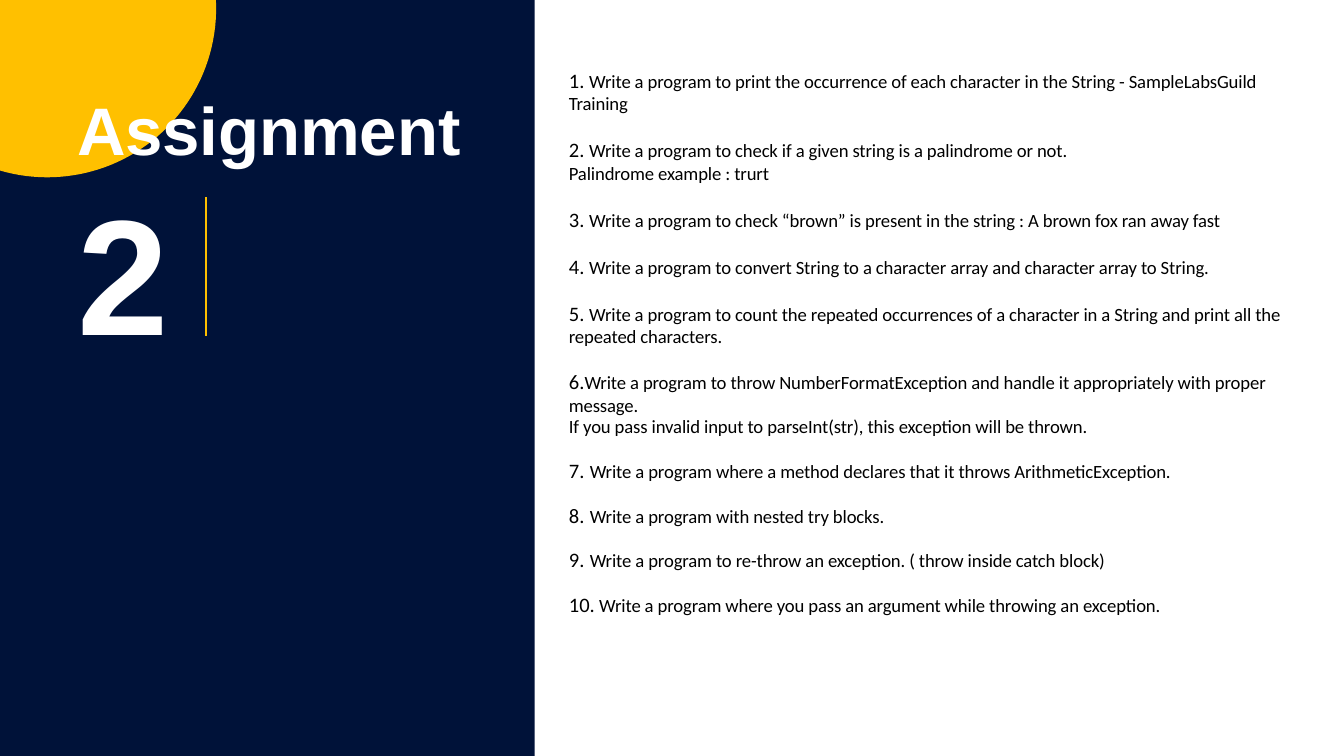
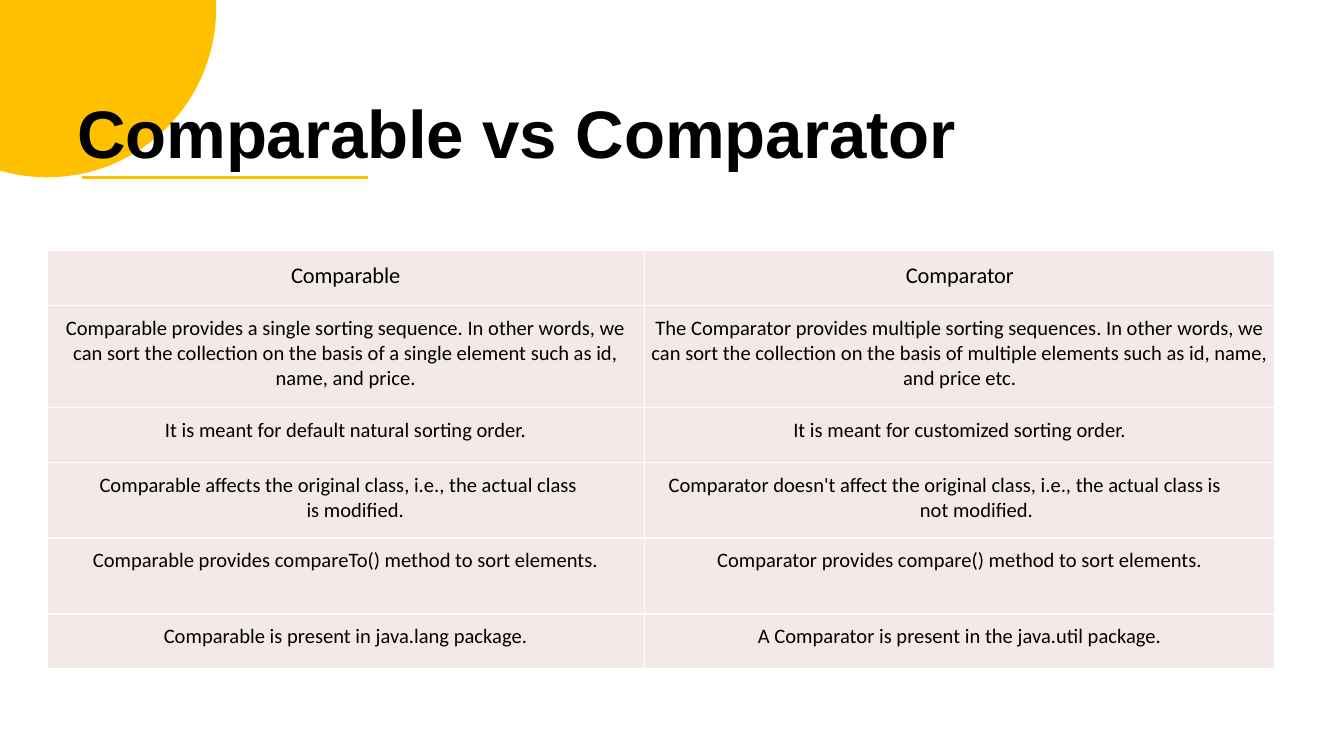
import math
from dataclasses import dataclass

from lxml import etree
from pptx import Presentation
from pptx import util as u
from pptx.dml.color import RGBColor
from pptx.enum import shapes, text
from pptx.oxml import parse_xml
from pptx.oxml.ns import nsdecls, qn

Pt = u.Pt


@dataclass(frozen=True)
class Theme:
    navy: str = "001239"
    gold: str = "FFC000"
    white: str = "FFFFFF"
    black: str = "000000"
    cell: str = "F4E9E9"
    head_font: str = "Arial"
    body_font: str = "Calibri"
    title: int = 36
    number: int = 88
    table_head: int = 12
    table_body: int = 11
    marker: int = 11
    question: int = 10
    tight: int = -5  # letter spacing, hundredths of a point


T = Theme()
HEADING = {"name": T.head_font, "size": Pt(T.title), "bold": True}
BODY = {"name": T.body_font, "size": Pt(T.question)}

# (text, lines it takes)
QUESTIONS = [
    ("Write a program to print the occurrence of each character in the String"
     " - SampleLabsGuild Training", 2),
    ("Write a program to check if a given string is a palindrome or not."
     " Palindrome example : trurt", 2),
    ("Write a program to check “brown” is present in the string :"
     " A brown fox ran away fast", 1),
    ("Write a program to convert String to a character array and character"
     " array to String.", 1),
    ("Write a program to count the repeated occurrences of a character in a"
     " String and print all the repeated characters.", 2),
]
QUESTION_WIDTHS = [374, 274, 362, 358, 391]
EXCEPTION_QUESTION = ("Write a program to throw NumberFormatException and handle"
                      " it appropriately with proper message.")
EXCEPTION_NOTE = ("If you pass invalid input to parseInt(str), this exception"
                  " will be thrown.")
LAST_QUESTIONS = [
    "Write a program where a method declares that it throws ArithmeticException.",
    "Write a program with nested try blocks.",
    "Write a program to re-throw an exception. ( throw inside catch block)",
    "Write a program where you pass an argument while throwing an exception.",
]
COMPARISON = [
    ("Comparable", "Comparator"),
    ("Comparable provides a single sorting sequence. In other words, we can sort"
     " the collection on the basis of a single element such as id, name, and price.",
     "The Comparator provides multiple sorting sequences. In other words, we can"
     " sort the collection on the basis of multiple elements such as id, name,"
     " and price etc."),
    ("It is meant for default natural sorting order.",
     "It is meant for customized sorting order."),
    ("Comparable affects the original class, i.e., the actual class is modified.",
     "Comparator doesn't affect the original class, i.e., the actual class is"
     " not modified."),
    ("Comparable provides compareTo() method to sort elements.",
     "Comparator provides compare() method to sort elements."),
    ("Comparable is present in java.lang package.",
     "A Comparator is present in the java.util package."),
]
HANGING_ROW = 3
HANGING = [(139, -110.9, 32.4), (147.6, -134.6, 21.6)]  # margin, indent, right inset
SIDE_INSETS = [7.2, 3.6]


def apply(obj, values):
    for name, value in values.items():
        setattr(obj, name, value)


def rgb(color):
    return RGBColor.from_string(color)


# Text
def add_run(p, words, fmt, color=T.black, spc=T.tight):
    r = p.add_run()
    r.text = words
    apply(r.font, fmt)
    r.font.color.rgb = rgb(color)
    if spc:
        r._r.get_or_add_rPr().set("spc", str(spc))


def add_text_box(s, x, y, w, h, top=0, left=1):
    tf = s.shapes.add_textbox(Pt(x), Pt(y), Pt(w), Pt(h)).text_frame
    apply(tf, {"word_wrap": True, "margin_left": Pt(left), "margin_top": Pt(top),
               "margin_right": 0, "margin_bottom": 0,
               "vertical_anchor": text.MSO_ANCHOR.TOP})
    return tf


def indent(p, margin, first):
    pPr = p._p.get_or_add_pPr()
    pPr.set("marL", str(Pt(margin)))
    pPr.set("indent", str(Pt(first)))
    return pPr


def number(p, start, margin, first, tab):
    pPr = indent(p, margin, first)
    etree.SubElement(pPr, qn("a:buSzPct"), val="110000")
    etree.SubElement(pPr, qn("a:buFont"), typeface=T.body_font)
    etree.SubElement(pPr, qn("a:buAutoNum"), type="arabicPeriod", startAt=str(start))
    tabs = etree.SubElement(pPr, qn("a:tabLst"))
    etree.SubElement(tabs, qn("a:tab"), pos=str(Pt(tab)), algn="l")


def add_title(s, words, y, w, color):
    tf = add_text_box(s, 40.3, y, w, 45.4, top=3.5)
    add_run(tf.paragraphs[0], words, HEADING, color)


# Shapes
def fill(sp, color):
    sp.shadow.inherit = False
    sp.fill.solid()
    sp.fill.fore_color.rgb = rgb(color)
    sp.line.fill.background()


def add_panel(s, w, h):
    fill(s.shapes.add_shape(shapes.MSO_SHAPE.RECTANGLE, 0, 0, Pt(w), Pt(h)), T.navy)


def add_corner_disc(s, cx=25.3, cy=4.5, r=90.5, steps=48):
    """Part of a disc that lies inside the top left corner."""
    start, end = math.asin(-cy / r), math.acos(-cx / r)
    angles = [start + (end - start) * i / steps for i in range(steps + 1)]
    arc = [(Pt(max(0, cx + r * math.cos(a))), Pt(max(0, cy + r * math.sin(a))))
           for a in angles]
    fb = s.shapes.build_freeform(0, 0, scale=1.0)
    fb.add_line_segments(arc, close=True)
    fill(fb.convert_to_shape(), T.gold)


def add_rule(s, x1, y1, x2, y2, width):
    sp = s.shapes.add_connector(shapes.MSO_CONNECTOR.STRAIGHT,
                                Pt(x1), Pt(y1), Pt(x2), Pt(y2))
    sp.line.color.rgb = rgb(T.gold)
    sp.line.width = Pt(width)
    etree.SubElement(sp._element.spPr, qn("a:effectLst"))


# Table
def set_borders(cell, color, width):
    tcPr = cell._tc.get_or_add_tcPr()
    for i, side in enumerate("LRTB"):
        tcPr.insert(i, parse_xml(
            f'<a:ln{side} {nsdecls("a")} w="{Pt(width)}"><a:solidFill>'
            f'<a:srgbClr val="{color}"/></a:solidFill></a:ln{side}>'))


def fill_cell(cell, words, row, col):
    head = row == 0
    side = SIDE_INSETS[col] if row == 1 else 0
    p = cell.text_frame.paragraphs[0]
    right = side
    if row == HANGING_ROW:
        margin, first, right = HANGING[col]
        indent(p, margin, first)
        p.alignment = text.PP_ALIGN.LEFT
    else:
        p.alignment = text.PP_ALIGN.CENTER
    apply(cell, {"margin_left": Pt(side), "margin_right": Pt(right),
                 "margin_top": Pt(6.5 if head else 5.4), "margin_bottom": 0,
                 "vertical_anchor": text.MSO_ANCHOR.TOP})
    size = T.table_head if head else T.table_body
    add_run(p, words, {**BODY, "size": Pt(size)}, spc=T.tight if head else 0)
    cell.fill.solid()
    cell.fill.fore_color.rgb = rgb(T.cell)
    set_borders(cell, T.white, 1)


def add_comparison(s, x, y, widths, heights):
    tbl = s.shapes.add_table(len(heights), len(widths), Pt(x), Pt(y),
                             Pt(sum(widths)), Pt(sum(heights))).table
    apply(tbl, {"first_row": False, "horz_banding": False})
    for column, w in zip(tbl.columns, widths):
        column.width = Pt(w)
    for row, h in zip(tbl.rows, heights):
        row.height = Pt(h)
    for i, pair in enumerate(COMPARISON):
        for j, words in enumerate(pair):
            fill_cell(tbl.cell(i, j), words, i, j)


# Questions
def add_questions(s, x, y):
    """Typed questions one below the other; returns the next free top."""
    for n, ((words, lines), w) in enumerate(zip(QUESTIONS, QUESTION_WIDTHS), 1):
        p = add_text_box(s, x, y, w, 2 + 12.2 * lines, top=2).paragraphs[0]
        add_run(p, f"{n}. ", {**BODY, "size": Pt(T.marker)}, spc=0)
        add_run(p, words, BODY)
        y += 12.2 * lines + 12.9
    return y


def add_numbered_questions(s, x, y, first):
    tf = add_text_box(s, x, y, 386, 139, top=2, left=0)
    p = tf.paragraphs[0]
    p.line_spacing = Pt(12.3)
    number(p, first, 1, 0, 12.2)
    add_run(p, EXCEPTION_QUESTION, BODY)
    p = tf.add_paragraph()
    p.line_spacing = Pt(11.5)
    indent(p, 1, 0)
    add_run(p, EXCEPTION_NOTE, BODY)
    for n, words in enumerate(LAST_QUESTIONS, first + 1):
        p = tf.add_paragraph()
        p.space_before = Pt(11.9)
        margin = 12.2 if n < 10 else 17.2
        number(p, first + 1, margin, 1 - margin, margin)
        add_run(p, words, BODY)


def build_assignment(s):
    add_panel(s, 286.5, 405)
    add_corner_disc(s)
    add_title(s, "Assignment", 43.9, 210, T.white)
    tf = add_text_box(s, 40.3, 82.8, 52, 107, top=9)
    add_run(tf.paragraphs[0], "2", {**HEADING, "size": Pt(T.number)}, T.white)
    add_rule(s, 110.2, 105.8, 110.2, 180, 1)
    y = add_questions(s, 303.8, 34.2)
    add_numbered_questions(s, 303.8, y, len(QUESTIONS) + 1)


def build_comparison(s):
    add_corner_disc(s)
    add_title(s, "Comparable vs Comparator", 45.4, 476, T.black)
    add_comparison(s, 25.2, 134.2, [320, 338], [29.5, 54.7, 29.5, 40.5, 40.5, 29.5])
    add_rule(s, 43.9, 95, 197.3, 95, 1.5)


def main():
    prs = Presentation()
    apply(prs, {"slide_width": Pt(720), "slide_height": Pt(405)})
    for build in (build_assignment, build_comparison):
        build(prs.slides.add_slide(prs.slide_layouts[6]))
    prs.save("out.pptx")


if __name__ == "__main__":
    main()
